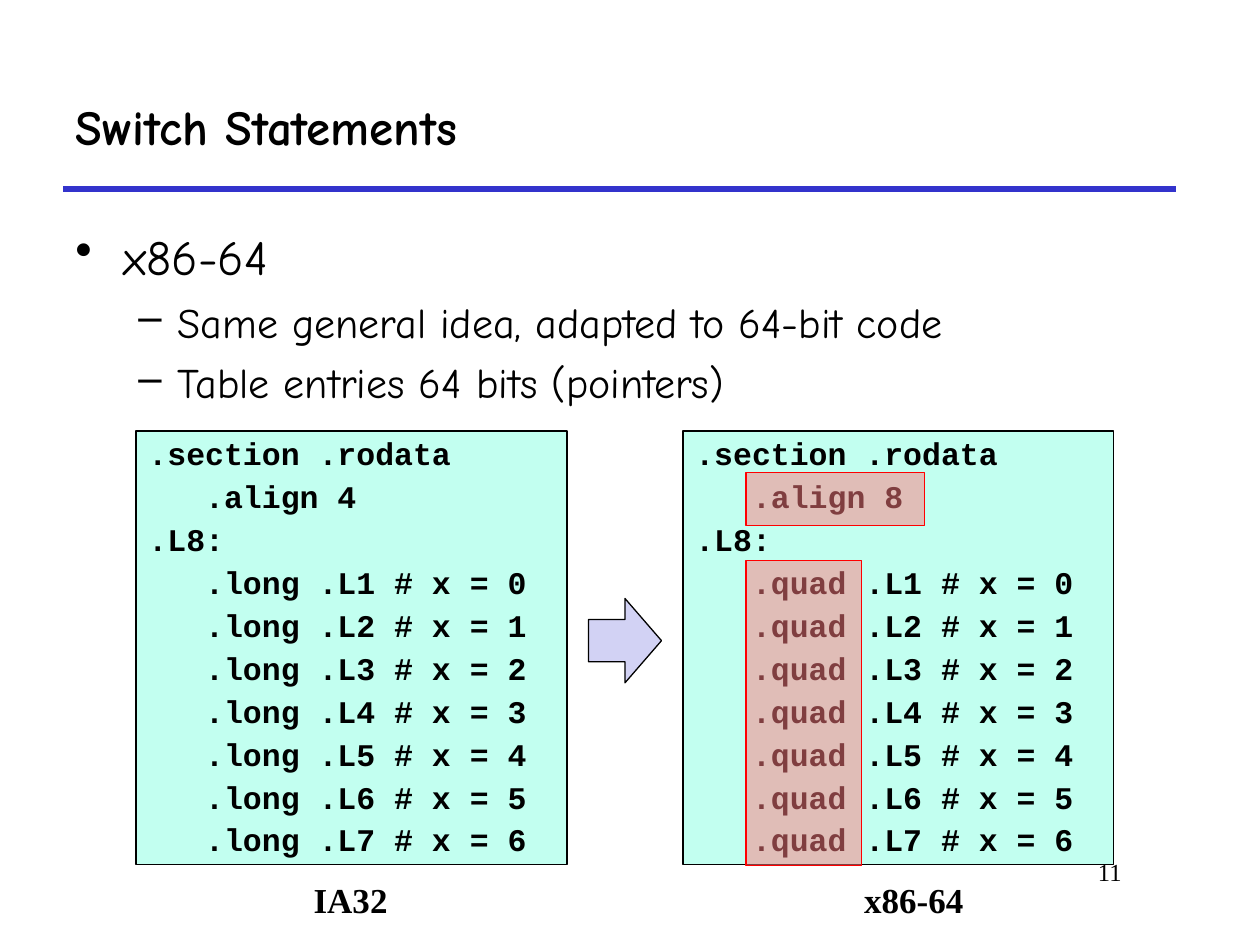
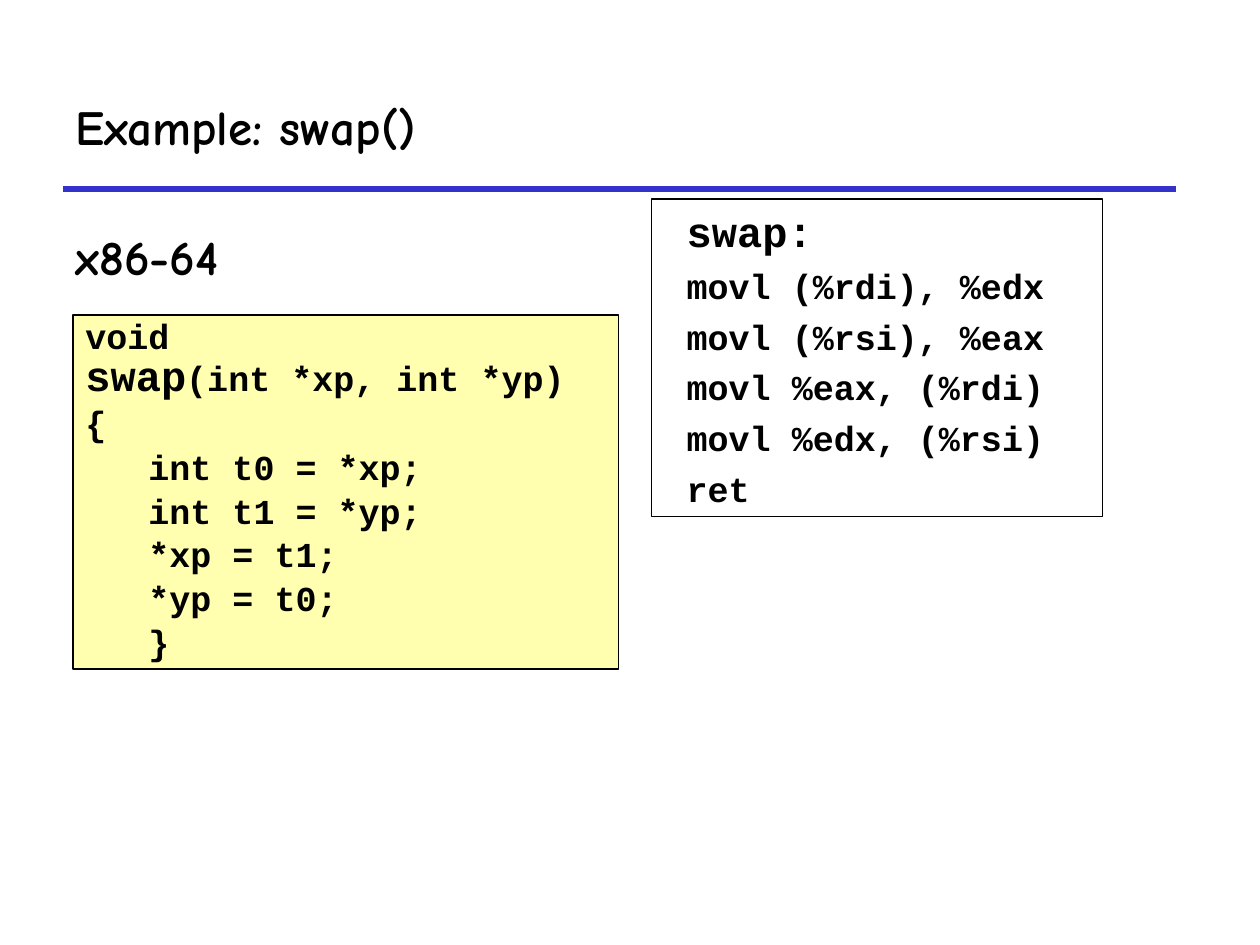
import pptx
import pptx.util
import pptx.dml.color
import pptx.enum.shapes
import pptx.enum.text
import lxml.etree

Inches, Pt = pptx.util.Inches, pptx.util.Pt
RGBColor = pptx.dml.color.RGBColor
Shape = pptx.enum.shapes.MSO_SHAPE
Align = pptx.enum.text.PP_ALIGN
Anchor = pptx.enum.text.MSO_ANCHOR

BLACK = RGBColor(0x00, 0x00, 0x00)
WHITE = RGBColor(0xFF, 0xFF, 0xFF)
BLUE = RGBColor(0x33, 0x33, 0xCC)
MINT = RGBColor(0xC2, 0xFF, 0xF0)
LILAC = RGBColor(0xD2, 0xD2, 0xF4)
CREAM = RGBColor(0xFF, 0xFF, 0xAF)
PINK = RGBColor(0xFF, 0x7C, 0x80)
RED = RGBColor(0xFF, 0x00, 0x00)
HAND, CODE, SERIF = "Comic Neue", "Courier New", "Times New Roman"
NS = "{http://schemas.openxmlformats.org/drawingml/2006/main}"


def write(shape, text, font=HAND, size=28, bold=True, gap=0, pitch=None,
          align=Align.LEFT, anchor=Anchor.TOP, wrap=True, left=0.1):
    """Fill a shape with one paragraph per line of text."""
    frame = shape.text_frame
    frame.word_wrap = wrap
    frame.vertical_anchor = anchor
    frame.margin_left = Inches(left)
    for i, line in enumerate(text.split("\n")):
        para = frame.paragraphs[0] if i == 0 else frame.add_paragraph()
        para.alignment = align
        if i:
            para.space_before = Pt(gap)
        if pitch:
            para.line_spacing = Pt(pitch)
        run = para.add_run()
        run.text = line
        run.font.name, run.font.size, run.font.bold = font, Pt(size), bold
        run.font.color.rgb = BLACK
    return frame.paragraphs


def draw(slide, kind, at, fill, line=BLACK, alpha=None):
    """Add a thin-lined shape, see-through if alpha is given."""
    shape = slide.shapes.add_shape(kind, *map(Inches, at))
    shape.shadow.inherit = False
    shape.fill.solid()
    shape.fill.fore_color.rgb = fill
    shape.line.color.rgb = line
    shape.line.width = Pt(0.75)
    if alpha:
        tint = shape.fill._xPr.find(f".//{NS}srgbClr")
        lxml.etree.SubElement(tint, NS + "alpha", val=str(alpha * 1000))
    return shape


deck = pptx.Presentation()
deck.slide_width, deck.slide_height = Inches(10), Inches(7.5)

# Shared title and rule
for title in ("Switch Statements", "Example: swap()"):
    slide = deck.slides.add_slide(deck.slide_layouts[6])
    rule = slide.shapes.add_connector(
        pptx.enum.shapes.MSO_CONNECTOR.STRAIGHT,
        Inches(0.5), Inches(1.5), Inches(9.33), Inches(1.5))
    rule.line.color.rgb = BLUE
    rule.line.width = Pt(3)
    lxml.etree.SubElement(rule._element.spPr, NS + "effectLst")
    head = slide.shapes.add_textbox(Inches(0.5), Inches(0.5), Inches(8.83), Inches(1))
    write(head, title, anchor=Anchor.MIDDLE)
switch, swap = deck.slides

# Switch: page number
page = switch.shapes.add_textbox(Inches(7.58), Inches(6.75), Inches(1.42), Inches(0.5))
write(page, "11", font=SERIF, size=14, bold=False, align=Align.RIGHT)

# Switch: bullets
body = switch.shapes.add_textbox(Inches(0.5), Inches(1.75), Inches(9.5), Inches(5.42))
points = write(body, "x86-64\nSame general idea, adapted to 64-bit code\n"
               "Table entries 64 bits (pointers)", size=24, bold=False, gap=6)
points[0].runs[0].font.size = Pt(28)
for i, para in enumerate(points):
    mark, left, hang = ("–", 0.81, 0.31) if i else ("•", 0.38, 0.38)
    props = para._p.get_or_add_pPr()
    props.set("marL", str(Inches(left)))
    props.set("indent", str(-Inches(hang)))
    lxml.etree.SubElement(props, NS + "buChar", char=mark)

# Switch: jump tables
for left, size, word in ((1.08, 4, "long"), (5.42, 8, "quad")):
    rows = [".section .rodata", f"   .align {size}", ".L8:"]
    rows += [f"   .{word} .L{x + 1} # x = {x}" for x in range(7)]
    table = draw(switch, Shape.RECTANGLE, (left, 3.42, 3.42, 3.44), MINT)
    write(table, "\n".join(rows), font=CODE, size=18, gap=4.5, pitch=20)

# Switch: arrow and labels
draw(switch, Shape.RIGHT_ARROW, (4.67, 4.75, 0.58, 0.67), LILAC)
for name, left, width in (("x86-64", 6.76, 0.99), ("IA32", 2.39, 0.79)):
    label = switch.shapes.add_textbox(
        Inches(left), Inches(6.92), Inches(width), Inches(0.44))
    write(label, name, font=SERIF, size=20, wrap=False)

# Switch: marked changes
for at in ((5.92, 4.45, 0.92, 2.42), (5.92, 3.75, 1.42, 0.42)):
    draw(switch, Shape.RECTANGLE, at, PINK, line=RED, alpha=50)

# Swap: heading
topic = swap.shapes.add_textbox(Inches(0.5), Inches(1.75), Inches(9.5), Inches(5.42))
write(topic, "x86-64")

# Swap: source code
source = draw(swap, Shape.RECTANGLE, (0.58, 2.5, 4.33, 2.81), CREAM)
lines = write(source, "void\nswap\n{\nint t0 = *xp;\nint t1 = *yp;\n"
              "*xp = t1;\n*yp = t0;\n}", font=CODE, size=20, gap=5, pitch=20)
lines[1].runs[0].font.size = Pt(24)
args = lines[1].add_run()
args.text = "(int *xp, int *yp)"
args.font.name, args.font.size, args.font.bold = CODE, Pt(20), True
args.font.color.rgb = BLACK
for para in lines[3:]:
    para._p.get_or_add_pPr().set("marL", str(Inches(0.5)))

# Swap: assembly
asm = draw(swap, Shape.RECTANGLE, (5.17, 1.58, 3.58, 2.52), WHITE)
lines = write(asm, "swap:\nmovl (%rdi), %edx\nmovl (%rsi), %eax\n"
              "movl %eax, (%rdi)\nmovl %edx, (%rsi)\nret",
              font=CODE, size=20, gap=5, left=0.28)
lines[0].runs[0].font.size = Pt(24)

deck.save("out.pptx")
